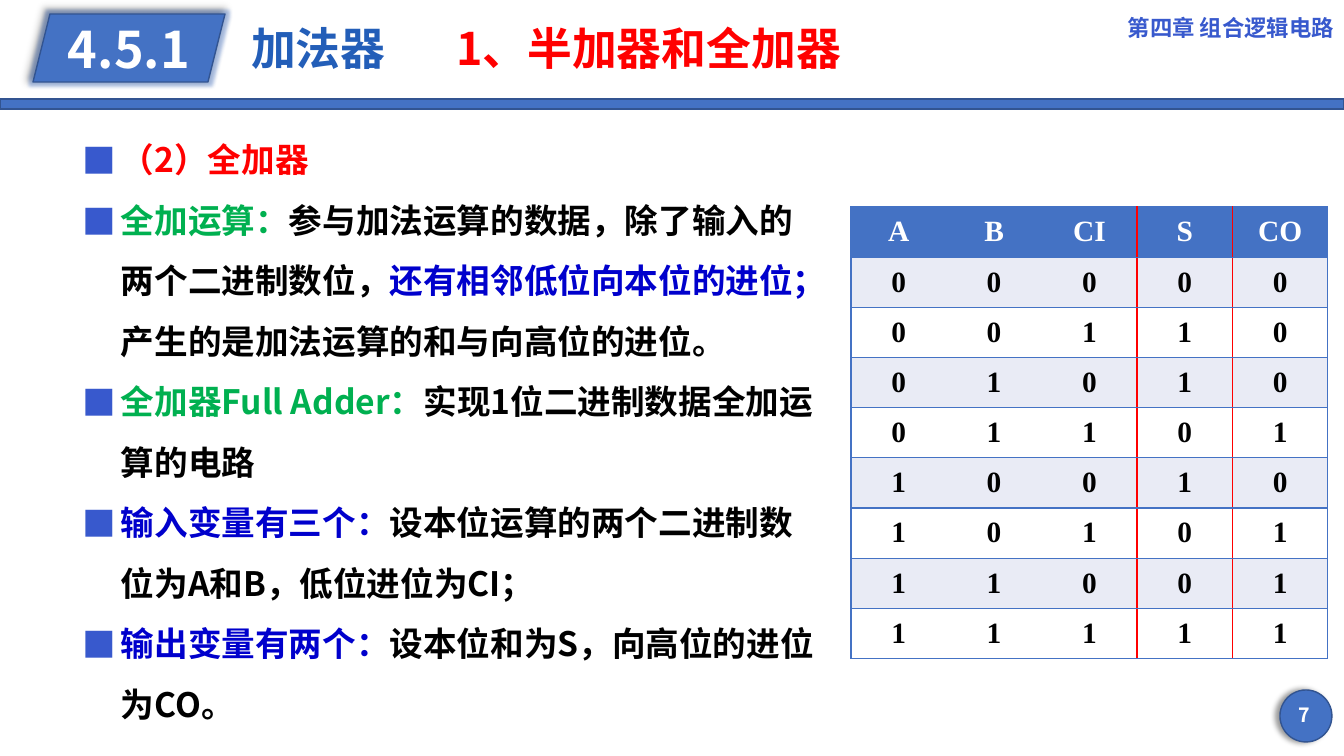
from lxml import etree
from pptx import Presentation
from pptx import util as u
from pptx.dml.color import RGBColor
from pptx.enum import shapes, text
from pptx.oxml.ns import qn

SANS, SERIF = "Noto Sans CJK SC", "Times New Roman"
COLORS = {
    "blue": "4472C4", "edge": "325491", "indigo": "3859CD", "title": "235EB8",
    "red": "FF0000", "green": "00B050", "navy": "0000CC", "black": "000000",
    "white": "FFFFFF", "band": "E9EBF5",
}
TITLE = [("加法器\t", "title"), ("1、半加器和全加器", "red")]
SECTION = [("4.5.1", "white")]
CHAPTER = [("第四章 组合逻辑电路", "indigo")]
PAGE_NUMBER = [("7", "white")]
BULLETS = [
    [("（2）全加器", "red")],
    [("全加运算：", "green"),
     ("参与加法运算的数据，除了输入的两个二进制数位，", "black"),
     ("还有相邻低位向本位的进位；", "navy"),
     ("产生的是加法运算的和与向高位的进位。", "black")],
    [("全加器Full Adder：", "green"), ("实现1位二进制数据全加运算的电路", "black")],
    [("输入变量有三个：", "navy"),
     ("设本位运算的两个二进制数位为A和B，低位进位为CI；", "black")],
    [("输出变量有两个：", "navy"), ("设本位和为S，向高位的进位为CO。", "black")],
]
TRUTH_TABLE = [
    ("A", "B", "CI", "S", "CO"),
    *map(tuple, ("00000", "00110", "01010", "01101",
                 "10010", "10101", "11001", "11111")),
]
COLUMN_EDGES = ["blue", None, None, "red", "red", "blue"]
COLUMN_WIDTH, ROW_HEIGHT = 95.4, 50.2


def px(value):
    return u.Emu(round(value * 914400 / 100.8))


def rgb(name):
    return RGBColor.from_string(COLORS[name])


def add(parent, tag, **attributes):
    return etree.SubElement(parent, qn(tag), attributes)


def add_color(parent, name, alpha=None):
    color = add(parent, "a:srgbClr", val=COLORS[name])
    if alpha:
        add(color, "a:alpha", val=str(alpha * 1000))


def write(para, spans, size, font=SANS, align=text.PP_ALIGN.LEFT):
    para.alignment = align
    for words, color in spans:
        span = para.add_run()
        span.text = words
        span.font.size = u.Pt(size)
        span.font.bold = True
        span.font.name = font
        span.font.color.rgb = rgb(color)
        add(span.font._element, "a:ea", typeface=font)


def add_block(page, kind, left, top, width, height, angle=None, glow=False):
    block = page.shapes.add_shape(kind, px(left), px(top), px(width), px(height))
    block.shadow.inherit = False
    block.fill.solid()
    block.fill.fore_color.rgb = rgb("blue")
    block.line.color.rgb = rgb("edge")
    block.line.width = u.Pt(1)
    effects = block._element.spPr.find(qn("a:effectLst"))
    if glow:
        add_color(add(effects, "a:glow", rad=str(u.Pt(5))), "blue", 40)
    if angle:
        shadow = add(effects, "a:outerShdw", blurRad=str(u.Pt(4)),
                     dist=str(u.Pt(3)), dir=str(angle * 60000))
        add_color(shadow, "black", 40)
    return block


def add_text(page, left, top, width, height):
    box = page.shapes.add_textbox(px(left), px(top), px(width), px(height))
    box.text_frame.word_wrap = True
    box.text_frame.vertical_anchor = text.MSO_ANCHOR.MIDDLE
    return box.text_frame


def add_border(cell, side, color, width):
    line = add(cell._tc.get_or_add_tcPr(), side, w=str(u.Pt(width)))
    if color:
        add_color(add(line, "a:solidFill"), color)
    else:
        add(line, "a:noFill")


def add_truth_table(page):
    rows, columns = len(TRUTH_TABLE), len(TRUTH_TABLE[0])
    table = page.shapes.add_table(
        rows, columns, px(851), px(207),
        px(columns * COLUMN_WIDTH), px(rows * ROW_HEIGHT)).table
    for column in table.columns:
        column.width = px(COLUMN_WIDTH)
    for r, values in enumerate(TRUTH_TABLE):
        table.rows[r].height = px(ROW_HEIGHT)
        fill = "blue" if r == 0 else "band" if r % 2 else "white"
        for c, value in enumerate(values):
            cell = table.cell(r, c)
            for side, edge in (("a:lnL", c), ("a:lnR", c + 1)):
                color = COLUMN_EDGES[edge]
                add_border(cell, side, color, 1.5 if color == "red" else 1)
            for side in ("a:lnT", "a:lnB"):
                add_border(cell, side, "blue", 1)
            cell.fill.solid()
            cell.fill.fore_color.rgb = rgb(fill)
            cell.margin_left = cell.margin_right = px(15)
            cell.margin_top = cell.margin_bottom = 0
            cell.vertical_anchor = text.MSO_ANCHOR.MIDDLE
            write(cell.text_frame.paragraphs[0],
                  [(value, "black" if r else "white")], 21, SERIF,
                  text.PP_ALIGN.CENTER)


def add_bullets(page):
    frame = add_text(page, 73, 114, 761, 621)
    frame.vertical_anchor = text.MSO_ANCHOR.TOP
    for i, spans in enumerate(BULLETS):
        para = frame.add_paragraph() if i else frame.paragraphs[0]
        para.line_spacing = 1.5
        properties = para._p.get_or_add_pPr()
        properties.set("marL", str(px(38)))
        properties.set("indent", str(px(-38)))
        add_color(add(properties, "a:buClr"), "indigo")
        add(properties, "a:buFont", typeface=SANS)
        add(properties, "a:buChar", char="■")
        write(para, spans, 24)


def add_title(page):
    title = page.shapes.title
    title.left, title.top, title.width, title.height = map(px, (241, 11, 636, 81))
    title.text_frame.vertical_anchor = text.MSO_ANCHOR.MIDDLE
    para = title.text_frame.paragraphs[0]
    para.line_spacing = 0.9
    tabs = add(para._p.get_or_add_pPr(), "a:tabLst")
    add(tabs, "a:tab", pos=str(px(205)), algn="l")
    write(para, TITLE, 32)


def main():
    deck = Presentation()
    deck.slide_width, deck.slide_height = px(1344), px(756)
    page = deck.slides.add_slide(deck.slide_layouts[5])
    kinds = shapes.MSO_SHAPE
    center = text.PP_ALIGN.CENTER

    add_block(page, kinds.RECTANGLE, 0, 99, 1344, 10)
    add_block(page, kinds.OVAL, 1280, 690, 52, 52, angle=180)
    number = add_text(page, 1273, 695, 62, 40)
    write(number.paragraphs[0], PAGE_NUMBER, 14, align=center)
    add_bullets(page)

    badge = add_block(page, kinds.PARALLELOGRAM, 33, 14, 192, 68,
                      angle=225, glow=True).text_frame
    badge.word_wrap = False
    badge.vertical_anchor = text.MSO_ANCHOR.MIDDLE
    write(badge.paragraphs[0], SECTION, 36, align=center)

    add_title(page)
    chapter = add_text(page, 1112, 0, 232, 56)
    write(chapter.paragraphs[0], CHAPTER, 16, align=text.PP_ALIGN.RIGHT)
    add_truth_table(page)
    deck.save("out.pptx")


if __name__ == "__main__":
    main()
